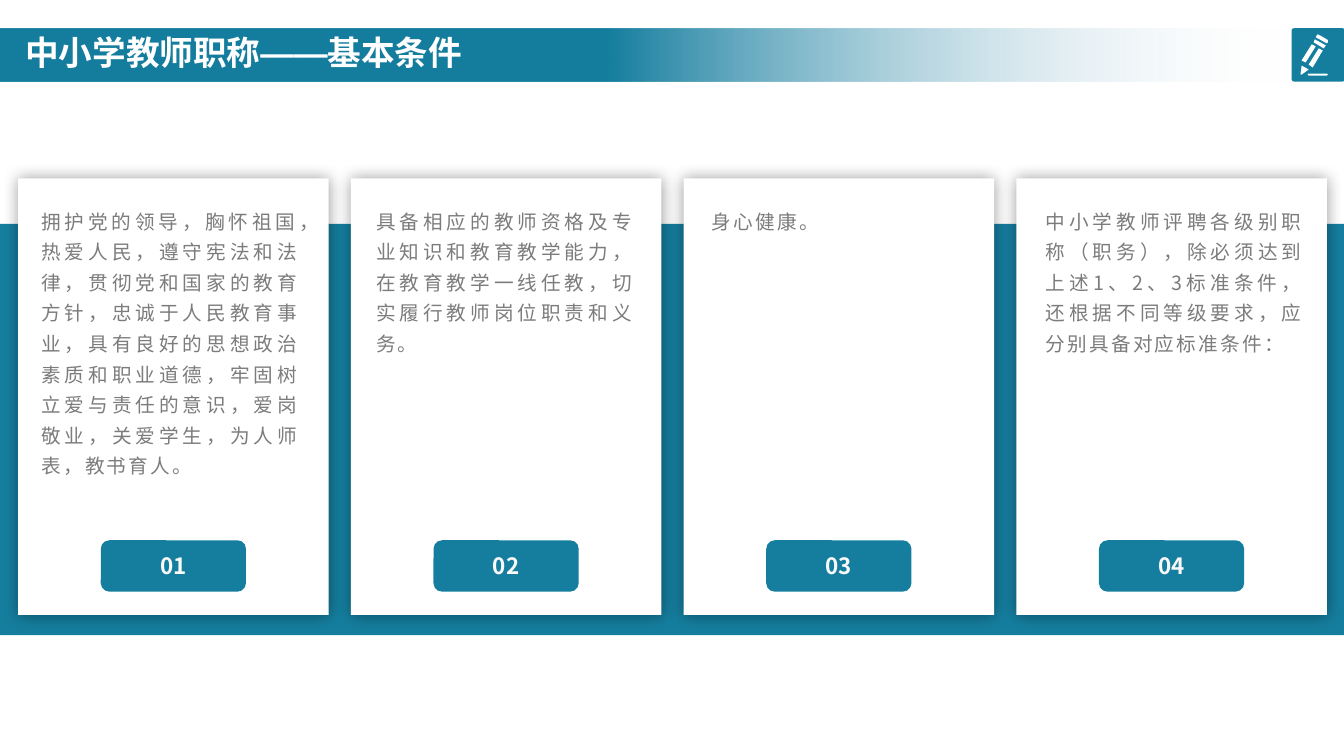
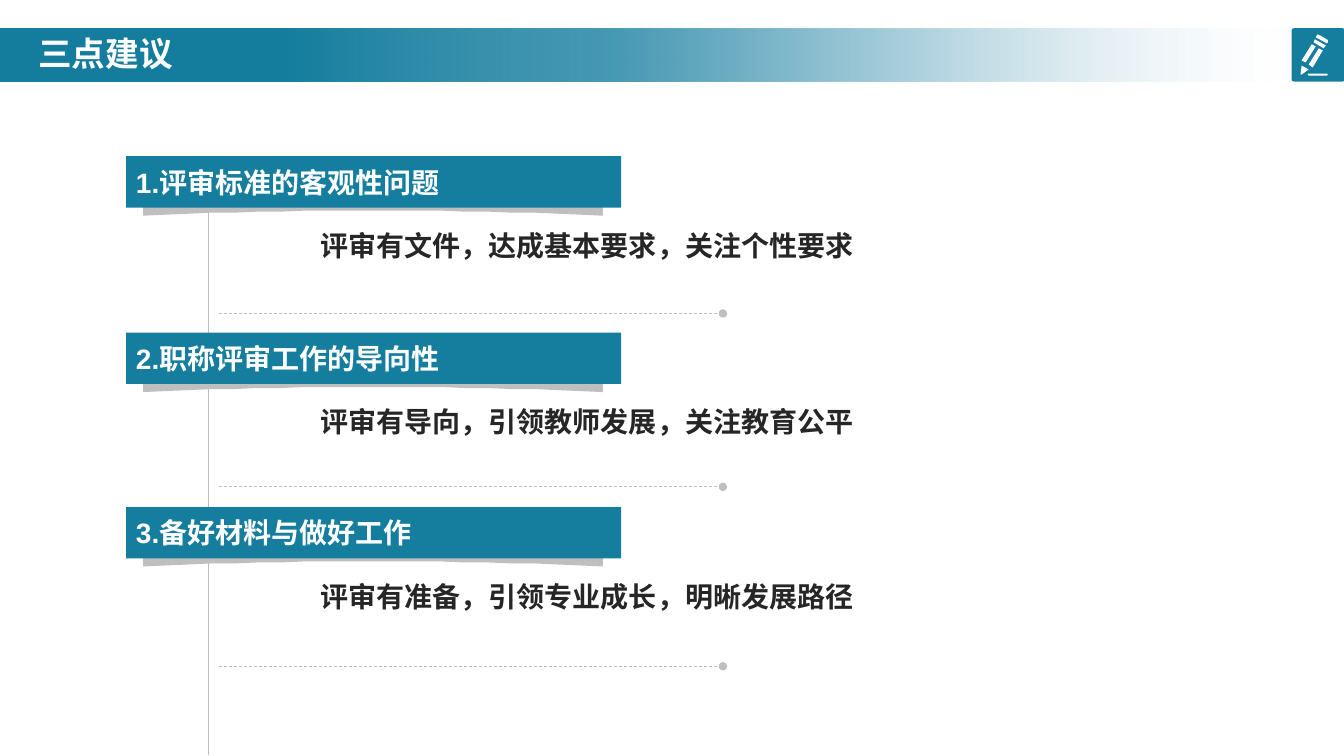
import pptx
import pptx.dml.color
import pptx.enum.dml
import pptx.enum.lang
import pptx.enum.shapes
import pptx.enum.text
import pptx.oxml.ns
import pptx.util
from lxml import etree

Inches = pptx.util.Inches
Pt = pptx.util.Pt
SHAPE = pptx.enum.shapes.MSO_SHAPE
ALIGN = pptx.enum.text.PP_ALIGN
ANCHOR = pptx.enum.text.MSO_ANCHOR
AUTO_SIZE = pptx.enum.text.MSO_AUTO_SIZE
qn = pptx.oxml.ns.qn

COLORS = {
    "teal": "157E9F", "fade": "F6F8FC", "white": "FFFFFF", "number": "F9F9F9",
    "body": "7C7C7C", "dark": "262626", "line": "BFBFBF", "shadow": "000000",
}
LATIN, BODY_FONT, NUMBER_FONT = "Arial", "Noto Sans CJK JP", "Noto Sans CJK SC"
SLIDE_WIDTH, SLIDE_HEIGHT = 13.33, 7.5

# Outlines of the pencil's parts, in hundredths of an inch from its top left corner
PENCIL = [
    [(23, 14), (13, 8), (14, 5), (25, 11)],
    [(27, 8), (27, 6), (26, 5), (19, 1), (17, 0), (16, 1), (15, 3), (26, 9)],
    [(12, 33), (22, 16), (18, 14), (8, 30)],
    [(1, 31), (0, 39), (0, 40), (1, 40), (8, 35)],
    [(15, 12), (11, 10), (1, 26), (5, 28)],
    [(26, 39), (8, 39), (7, 40), (8, 41), (26, 41), (27, 40)],
]

CARDS = [  # text, left inset, text height
    ("拥护党的领导，胸怀祖国，热爱人民，遵守宪法和法律，贯彻党和国家的教育方针，"
     "忠诚于人民教育事业，具有良好的思想政治素质和职业道德，牢固树立爱与责任的意识，"
     "爱岗敬业，关爱学生，为人师表，教书育人。", 0.23, 3.45),
    ("具备相应的教师资格及专业知识和教育教学能力，在教育教学一线任教，"
     "切实履行教师岗位职责和义务。", 0.25, 1.71),
    ("身心健康。", 0.28, 0.31),
    ("中小学教师评聘各级别职称（职务），除必须达到上述1、2、3标准条件，"
     "还根据不同等级要求，应分别具备对应标准条件：", 0.29, 1.5),
]

ADVICE = [  # heading, caption, top, height down to the dashed rule
    ("1.评审标准的客观性问题", "评审有文件，达成基本要求，关注个性要求", 1.55, 1.56),
    ("2.职称评审工作的导向性", "评审有导向，引领教师发展，关注教育公平", 3.3, 1.53),
    ("3.备好材料与做好工作", "评审有准备，引领专业成长，明晰发展路径", 5.03, 1.58),
]


def rgb(name):
    return pptx.dml.color.RGBColor.from_string(COLORS[name])


def add_child(parent, tag, **attributes):
    return etree.SubElement(parent, qn(tag), **attributes)


def fill_flat(shape, color):
    shape.shadow.inherit = False
    shape.fill.solid()
    shape.fill.fore_color.rgb = rgb(color)
    shape.line.fill.background()


def add_block(page, left, top, width, height, color, kind=SHAPE.RECTANGLE):
    block = page.shapes.add_shape(
        kind, Inches(left), Inches(top), Inches(width), Inches(height))
    fill_flat(block, color)
    return block


def add_outline(page, left, top, contours, color):
    """Draw closed contours given in hundredths of an inch from (left, top)."""
    builder = page.shapes.build_freeform(*contours[0][0], scale=Inches(0.01))
    for index, contour in enumerate(contours):
        if index:
            builder.move_to(*contour[0])
        builder.add_line_segments(contour[1:], close=True)
    fill_flat(builder.convert_to_shape(Inches(left), Inches(top)), color)


def add_line(page, start, end, dotted=False):
    line = page.shapes.add_connector(
        pptx.enum.shapes.MSO_CONNECTOR.STRAIGHT,
        *(Inches(value) for value in (*start, *end)))
    line.line.color.rgb = rgb("line")
    line.line.width = Pt(0.5)
    if dotted:
        line.line.dash_style = pptx.enum.dml.MSO_LINE.DASH
        add_child(line.line._get_or_add_ln(), "a:tailEnd", type="oval")
    add_child(line._element.spPr, "a:effectLst")


def write(shape, text, size, color, font=LATIN, bold=True, align=ALIGN.LEFT,
          anchor=ANCHOR.MIDDLE, wrap=True, line_spacing=None, tracking=None):
    frame = shape.text_frame
    frame.word_wrap = wrap
    frame.vertical_anchor = anchor
    para = frame.paragraphs[0]
    para.alignment = align
    if line_spacing:
        para.line_spacing = line_spacing
    span = para.add_run()
    span.text = text
    span.font.size = Pt(size)
    span.font.bold = bold
    span.font.color.rgb = rgb(color)
    span.font.name = font
    span.font.language_id = pptx.enum.lang.MSO_LANGUAGE_ID.SIMPLIFIED_CHINESE
    properties = span._r.get_or_add_rPr()
    add_child(properties, "a:ea", typeface=font)
    if tracking:
        properties.set("spc", str(round(tracking * 100)))
    return para


def add_text_box(page, left, top, width, height):
    box = page.shapes.add_textbox(
        Inches(left), Inches(top), Inches(width), Inches(height))
    box.text_frame.auto_size = AUTO_SIZE.SHAPE_TO_FIT_TEXT
    return box


def add_fading_band(page, solid_from):
    """Band that is clear at the right and solid from the given share leftward."""
    band = add_block(page, 0, 0.28, 12.8, 0.53, "teal")
    band.fill.gradient()
    band.fill.gradient_angle = 180
    clear, solid = band.fill.gradient_stops
    clear.color.rgb, clear.position = rgb("fade"), 0
    solid.color.rgb, solid.position = rgb("teal"), solid_from
    add_child(clear._gs.find(qn("a:srgbClr")), "a:alpha", val="0")


def add_page(deck, title, left, top, bands):
    page = deck.slides.add_slide(deck.slide_layouts[5])
    for solid_from in bands:
        add_fading_band(page, solid_from)
    tile = add_block(page, 12.81, 0.28, 0.53, 0.53, "teal", SHAPE.ROUNDED_RECTANGLE)
    tile.adjustments[0] = 0.05
    add_outline(page, 12.9, 0.34, PENCIL, "white")

    heading = page.shapes.title
    page.shapes._spTree.append(heading._element)
    heading.left, heading.top = Inches(left), Inches(top)
    heading.width, heading.height = Inches(8.91), Inches(0.46)
    heading.text_frame.auto_size = AUTO_SIZE.SHAPE_TO_FIT_TEXT
    write(heading, title, 24, "white", line_spacing=0.9)
    return page


def add_card(page, left, top, number, text, inset, text_height):
    card = add_block(page, left, top, 3.08, 4.33, "white")
    effects = card._element.spPr.find(qn("a:effectLst"))
    shadow = add_child(effects, "a:outerShdw", blurRad=str(Pt(12)), dist="0",
                       dir="0", algn="ctr", rotWithShape="0")
    tint = add_child(shadow, "a:srgbClr", val=COLORS["shadow"])
    add_child(tint, "a:alpha", val="40000")

    badge = add_block(page, left + 0.82, top + 3.59, 1.44, 0.51, "teal",
                      SHAPE.ROUNDED_RECTANGLE)
    write(badge, f"{number:02}", 16, "number", NUMBER_FONT, align=ALIGN.CENTER)

    box = add_text_box(page, left + inset, top + 0.24, 2.56, text_height)
    frame = box.text_frame
    frame.margin_left = frame.margin_right = 0
    frame.margin_top = frame.margin_bottom = 0
    para = write(box, text, 14, "body", BODY_FONT, bold=False, align=ALIGN.JUSTIFY,
                 anchor=ANCHOR.TOP, line_spacing=1.3, tracking=1.6)
    para.space_after = Pt(6)


def add_curved_shadow(page, left, top, width):
    """Grey sliver whose lower edge bows upward in the middle."""
    half = width * 50
    steps = [step / 10 for step in range(10, -11, -1)]
    lower_edge = [(half + half * step, 15 + 5 * step ** 2) for step in steps]
    add_outline(page, left, top, [lower_edge + [(0, 5), (half, 0), (2 * half, 5)]],
                "line")


def add_advice(page, left, top, heading, caption, height):
    add_curved_shadow(page, left + 0.17, top + 0.39, 4.56)
    bar = add_block(page, left, top, 4.91, 0.51, "teal")
    write(bar, heading, 20, "white", wrap=False)
    box = add_text_box(page, left + 1.83, top + 0.6, 8.54, 0.47)
    write(box, caption, 20, "dark", anchor=ANCHOR.TOP, line_spacing=1.2)
    rule = top + height
    add_line(page, (left + 0.92, rule), (left + 5.92, rule), dotted=True)


def build_conditions(deck):
    page = add_page(deck, "中小学教师职称——基本条件", 0.15, 0.31, bands=[0.53])
    add_block(page, 0, 2.22, SLIDE_WIDTH, 4.08, "teal")
    for index, (text, inset, text_height) in enumerate(CARDS):
        add_card(page, 0.18 + 3.3 * index, 1.77, index + 1, text, inset, text_height)


def build_advice(deck):
    page = add_page(deck, "三点建议", 0.28, 0.32, bands=[0.53, 0.78])
    add_line(page, (2.07, 1.65), (2.07, 7.49))
    for heading, caption, top, height in ADVICE:
        add_advice(page, 1.25, top, heading, caption, height)


def main():
    deck = pptx.Presentation()
    deck.slide_width, deck.slide_height = Inches(SLIDE_WIDTH), Inches(SLIDE_HEIGHT)
    build_conditions(deck)
    build_advice(deck)
    deck.save("out.pptx")


if __name__ == "__main__":
    main()
